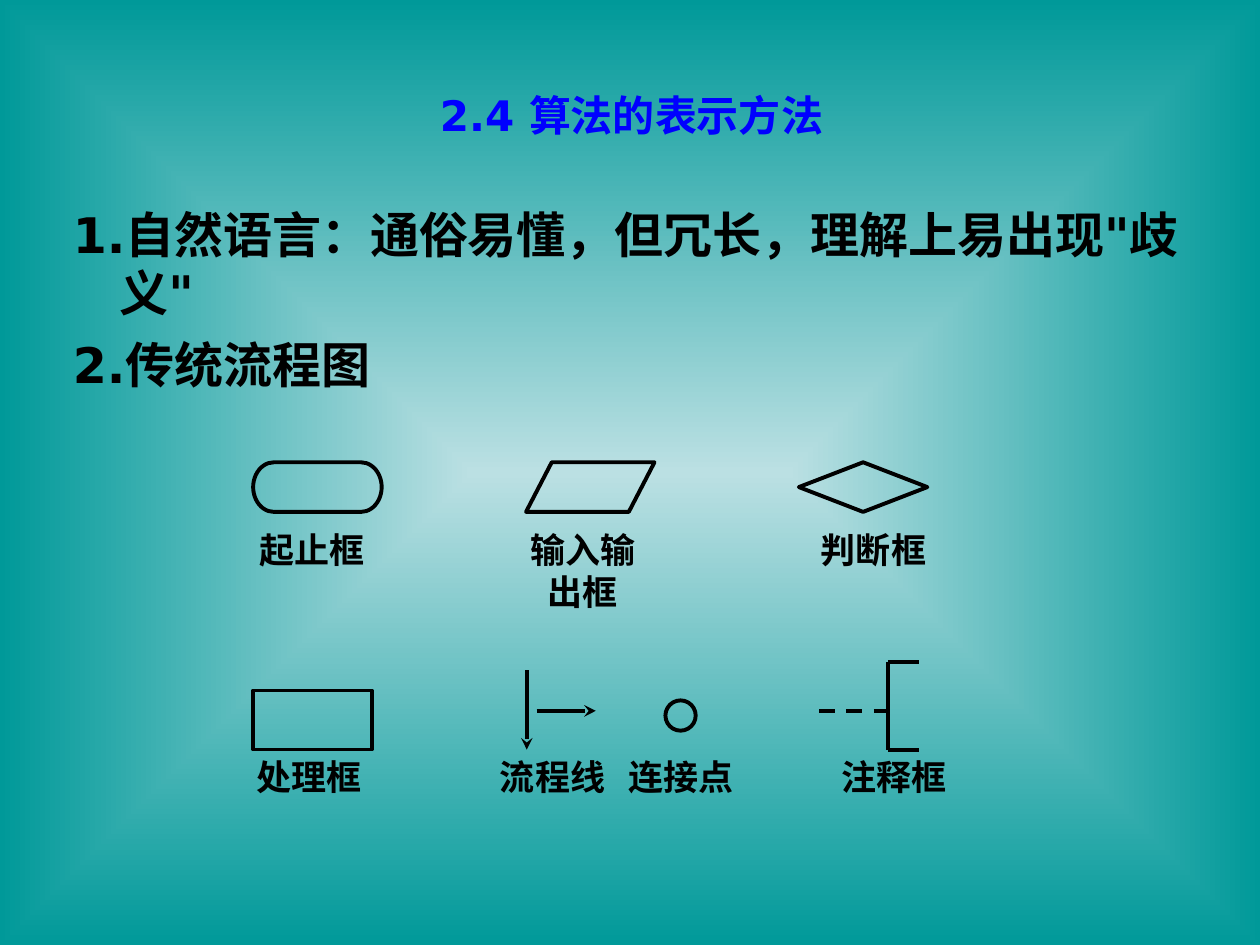
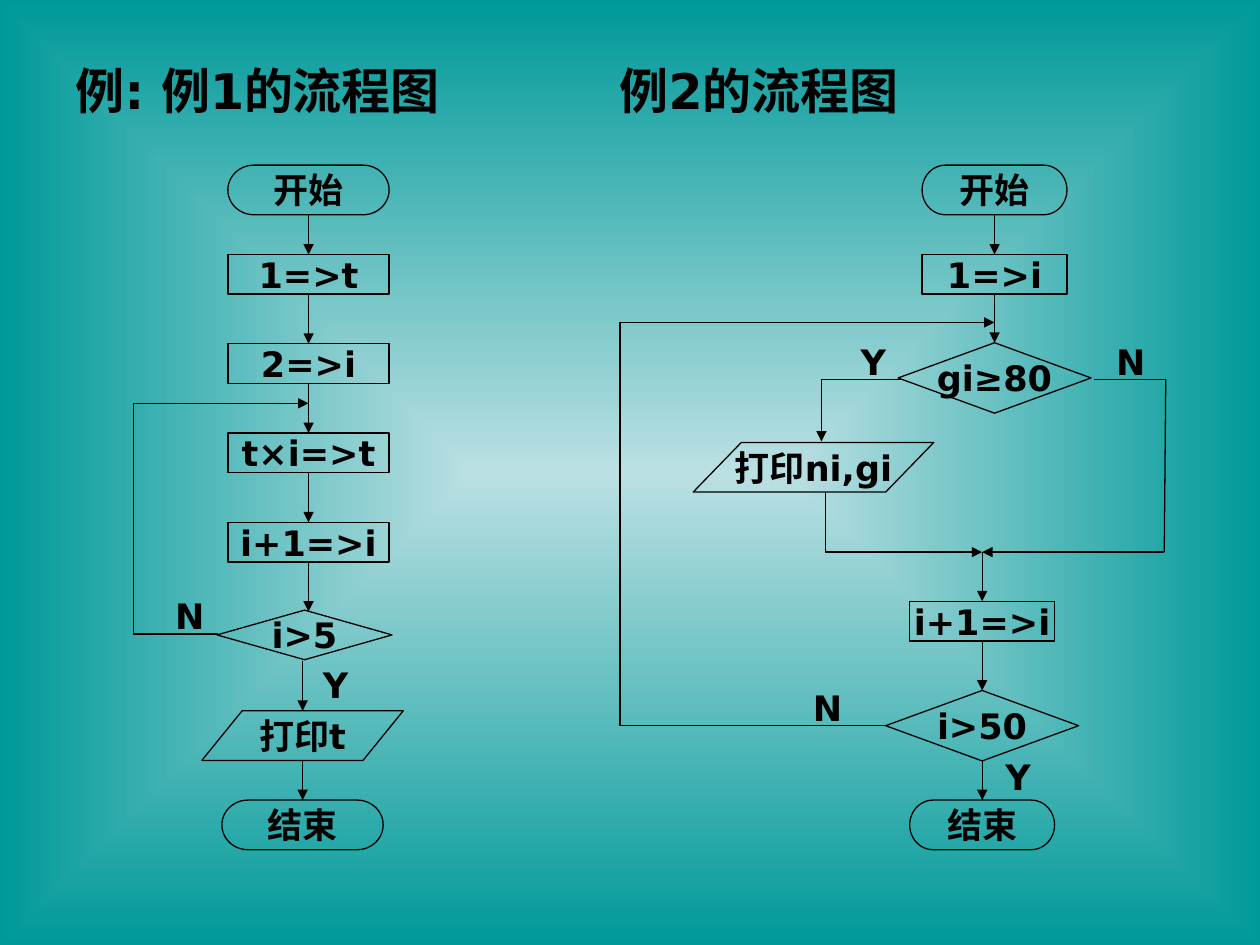
"""Build two slides on flowchart symbols and two worked flowcharts."""
from dataclasses import dataclass
from itertools import pairwise

from lxml import etree
from pptx import Presentation
from pptx import util as u
from pptx.dml.color import RGBColor
from pptx.enum import dml, shapes, text
from pptx.oxml.ns import qn

KIND = shapes.MSO_SHAPE
TERMINATOR = KIND.FLOWCHART_TERMINATOR
PROCESS = KIND.FLOWCHART_PROCESS
DECISION = KIND.FLOWCHART_DECISION
DATA = KIND.FLOWCHART_DATA
CENTER, LEFT = text.PP_ALIGN.CENTER, text.PP_ALIGN.LEFT
MIDDLE, TOP = text.MSO_ANCHOR.MIDDLE, text.MSO_ANCHOR.TOP


@dataclass(frozen=True)
class Theme:
    font: str = "DejaVu Sans"
    ink: RGBColor = RGBColor(0, 0, 0)
    accent: RGBColor = RGBColor(0, 0, 255)
    glow: RGBColor = RGBColor(0xBB, 0xE0, 0xE3)
    edge: RGBColor = RGBColor(0, 0x99, 0x99)
    section_size: int = 24
    body_size: int = 28
    label_size: int = 20
    thick: float = 2.25
    thin: float = 0.75


def apply(target, **values):
    for name, value in values.items():
        setattr(target, name, value)


def lengths(*values):
    return [u.Cm(value) for value in values]


class Deck:
    def __init__(self, theme):
        self.theme = theme
        self.presentation = Presentation()
        apply(self.presentation, slide_width=u.Cm(25.4), slide_height=u.Cm(19.05))
        self.slide = None
        self.weight = theme.thin
        self.paint_background()

    def paint_background(self):
        master = self.presentation.slide_master
        fill = master.background.fill
        fill.gradient()
        colors = (self.theme.glow, self.theme.edge)
        for position, (stop, color) in enumerate(zip(fill.gradient_stops, colors)):
            stop.position = position
            stop.color.rgb = color
        gradient = master.element.find(".//" + qn("a:gradFill"))
        gradient.remove(gradient.find(qn("a:lin")))
        focus = etree.SubElement(gradient, qn("a:path"), path="rect")
        etree.SubElement(focus, qn("a:fillToRect"),
                         dict.fromkeys("ltrb", "50000"))

    def start_slide(self, weight):
        self.slide = self.presentation.slides.add_slide(
            self.presentation.slide_layouts[5])
        self.weight = weight

    def add_words(self, paragraph, words, size, color=None, align=CENTER):
        paragraph.alignment = align
        run = paragraph.add_run()
        run.text = words
        apply(run.font, name=self.theme.font, size=u.Pt(size), bold=True)
        run.font.color.rgb = color or self.theme.ink
        etree.SubElement(run._r.rPr, qn("a:ea"), typeface=self.theme.font)

    def title(self, words, box, size, color=None, align=CENTER, tab=None):
        shape = self.slide.shapes.title
        apply(shape, **dict(zip(("left", "top", "width", "height"), lengths(*box))))
        apply(shape.text_frame, vertical_anchor=MIDDLE, word_wrap=True,
              auto_size=text.MSO_AUTO_SIZE.NONE)
        paragraph = shape.text_frame.paragraphs[0]
        if tab:
            tabs = etree.SubElement(paragraph._p.get_or_add_pPr(), qn("a:tabLst"))
            etree.SubElement(tabs, qn("a:tab"), pos=str(u.Cm(tab)), algn="l")
        self.add_words(paragraph, words, size, color, align)

    def numbered_text(self, lines, box, hang):
        frame = self.slide.shapes.add_textbox(*lengths(*box)).text_frame
        frame.word_wrap = True
        for index, words in enumerate(lines):
            paragraph = frame.add_paragraph() if index else frame.paragraphs[0]
            if index:
                paragraph.space_before = u.Pt(7)
            properties = paragraph._p.get_or_add_pPr()
            properties.set("marL", str(u.Cm(hang)))
            properties.set("indent", str(u.Cm(-hang)))
            self.add_words(paragraph, words, self.theme.body_size, align=LEFT)

    def label(self, words, center, top, width=2.8):
        box = lengths(center - width / 2, top, width, 1.12)
        frame = self.slide.shapes.add_textbox(*box).text_frame
        apply(frame, word_wrap=False, vertical_anchor=TOP)
        self.add_words(frame.paragraphs[0], words, self.theme.label_size)

    def block(self, kind, center, top, width, height, words=""):
        shape = self.slide.shapes.add_shape(
            kind, *lengths(center - width / 2, top, width, height))
        shape.shadow.inherit = False
        shape.fill.background()
        shape.line.color.rgb = self.theme.ink
        shape.line.width = u.Pt(self.weight)
        if words:
            frame = shape.text_frame
            apply(frame, word_wrap=False, vertical_anchor=MIDDLE)
            self.add_words(frame.paragraphs[0], words, self.theme.label_size)

    def route(self, *points, arrow=None, dash=None):
        for start, end in pairwise(points):
            connector = self.slide.shapes.add_connector(
                shapes.MSO_CONNECTOR.STRAIGHT, *lengths(*start, *end))
            connector.line.color.rgb = self.theme.ink
            apply(connector.line, width=u.Pt(self.weight), dash_style=dash)
            etree.SubElement(connector._element.spPr, qn("a:effectLst"))
        if arrow:
            outline = connector._element.spPr.find(qn("a:ln"))
            etree.SubElement(outline, qn("a:tailEnd"), type=arrow)

    def drops(self, center, *spans):
        for top, bottom in spans:
            self.route((center, top), (center, bottom), arrow="triangle")


def symbols_slide(deck):
    theme = deck.theme
    deck.start_slide(theme.thick)
    deck.title("2.4 算法的表示方法", (1.3, 1.68, 22.86, 1.27),
               theme.section_size, theme.accent)
    deck.numbered_text(
        ["1.自然语言：通俗易懂，但冗长，理解上易出现\"歧义\"", "2.传统流程图"],
        (1.22, 3.99, 22.94, 4.06), 0.94)

    for column, kind in enumerate((TERMINATOR, DATA, DECISION)):
        deck.block(kind, 6.4 + 5.5 * column, 9.32, 2.59, 1)
    deck.block(PROCESS, 6.3, 13.92, 2.39, 1.19)
    deck.block(KIND.FLOWCHART_CONNECTOR, 13.72, 14.12, 0.61, 0.61)

    deck.route((10.62, 13.51), (10.62, 15.11), arrow="stealth")
    deck.route((10.82, 14.33), (12.01, 14.33), arrow="stealth")
    deck.route((16.51, 14.33), (17.91, 14.33), dash=dml.MSO_LINE.DASH)
    deck.route((18.52, 13.34), (17.91, 13.34), (17.91, 15.11), (18.52, 15.11))

    label_rows = {
        10.52: {"起止框": 6.3, "输入输出框": 11.75, "判断框": 17.61},
        15.11: {"处理框": 6.24, "流程线": 11.14, "连接点": 13.73, "注释框": 18.02},
    }
    for top, labels in label_rows.items():
        for words, center in labels.items():
            deck.label(words, center, top)


def factorial_chart(deck):
    axis, lower_axis, width = 6.22, 6.1, 3.25
    deck.block(TERMINATOR, axis, 3.33, width, 1, "开始")
    for row, words in enumerate(("1=>t", "2=>i", "t×i=>t", "i+1=>i")):
        top = 5.13 + 1.8 * row
        deck.block(PROCESS, axis, top, width, 0.8, words)
        deck.drops(axis, (top + 0.8, top + 1.8))
    deck.block(DECISION, 6.14, 12.3, 3.53, 1, "i>5")
    deck.block(DATA, lower_axis, 14.33, 4.06, 1, "打印t")
    deck.block(TERMINATOR, lower_axis, 16.13, width, 1, "结束")
    deck.drops(axis, (4.33, 5.13))
    deck.drops(lower_axis, (13.33, 14.33), (15.33, 16.13))
    deck.route((4.4, 12.78), (2.69, 12.78), (2.69, 8.13), (axis, 8.13),
               arrow="triangle")
    deck.label("Y", 6.76, 13.26, 1)
    deck.label("N", 3.78, 11.86, 1)


def grades_chart(deck):
    axis, lower_axis, width = 20.05, 19.8, 2.92
    deck.block(TERMINATOR, axis, 3.33, width, 1, "开始")
    deck.block(PROCESS, axis, 5.13, width, 0.8, "1=>i")
    deck.block(DECISION, axis, 6.91, 3.89, 1.42, "gi≥80")
    deck.block(DATA, 16.4, 8.92, 4.85, 1, "打印ni,gi")
    deck.block(PROCESS, lower_axis, 12.12, width, 0.8, "i+1=>i")
    deck.block(DECISION, lower_axis, 13.92, 3.89, 1.42, "i>50")
    deck.block(TERMINATOR, lower_axis, 16.13, width, 1, "结束")
    deck.drops(axis, (4.33, 5.13), (5.93, 6.91))
    deck.drops(lower_axis, (11.13, 12.12), (12.92, 13.92), (15.34, 16.13))

    merge = (lower_axis, 11.13)
    routes = (
        ((18.16, 7.65), (16.56, 7.65), (16.56, 8.9)),
        ((16.64, 9.92), (16.64, 11.13), merge),
        ((22.05, 7.65), (23.5, 7.65), (23.47, 11.13), merge),
        ((17.86, 14.63), (12.5, 14.63), (12.5, 6.5), (axis, 6.5)),
    )
    for points in routes:
        deck.route(*points, arrow="triangle")
    for words, center, top in (("Y", 17.6, 6.73), ("N", 22.75, 6.73),
                               ("N", 16.64, 13.72), ("Y", 20.52, 15.11)):
        deck.label(words, center, top, 1)


def examples_slide(deck):
    deck.start_slide(deck.theme.thin)
    deck.title("例: 例1的流程图\t例2的流程图", (1.27, 0.91, 22.86, 1.8),
               deck.theme.body_size, align=LEFT, tab=10.97)
    factorial_chart(deck)
    grades_chart(deck)


def main():
    deck = Deck(Theme())
    symbols_slide(deck)
    examples_slide(deck)
    deck.presentation.save("out.pptx")


if __name__ == "__main__":
    main()
